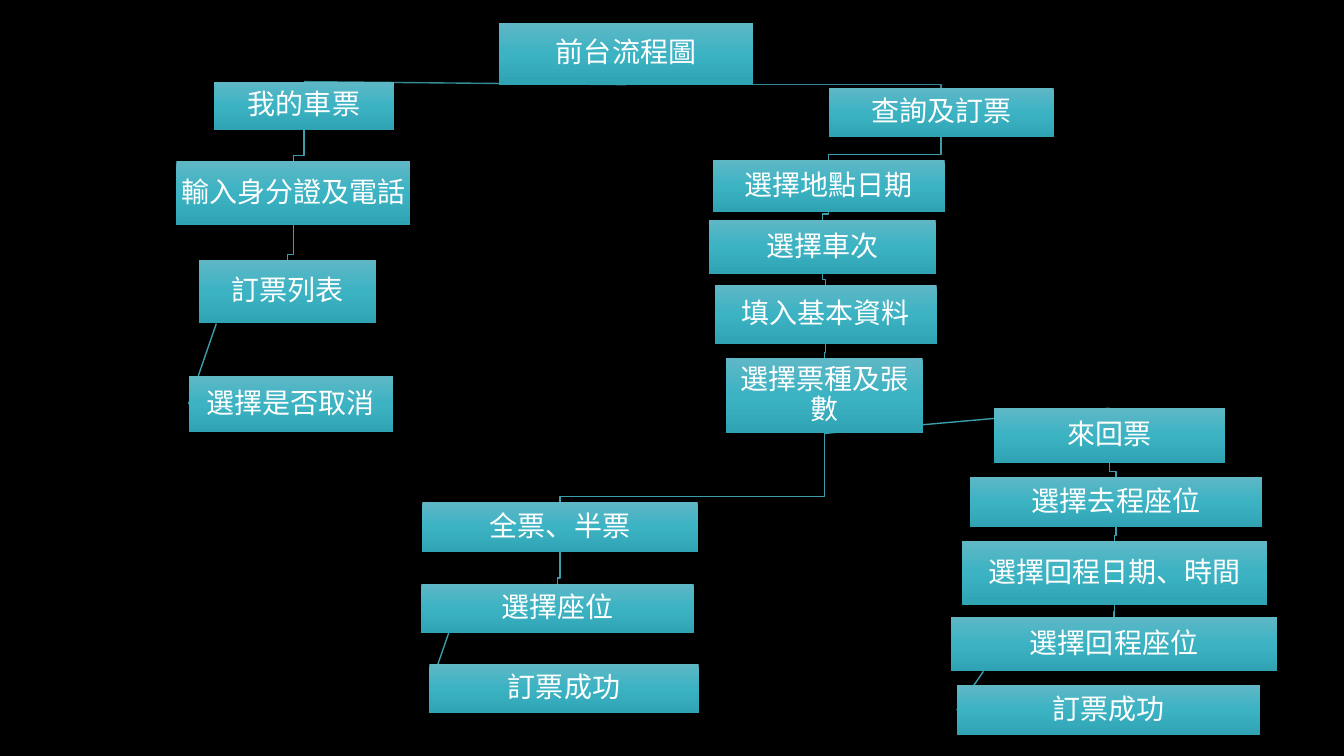
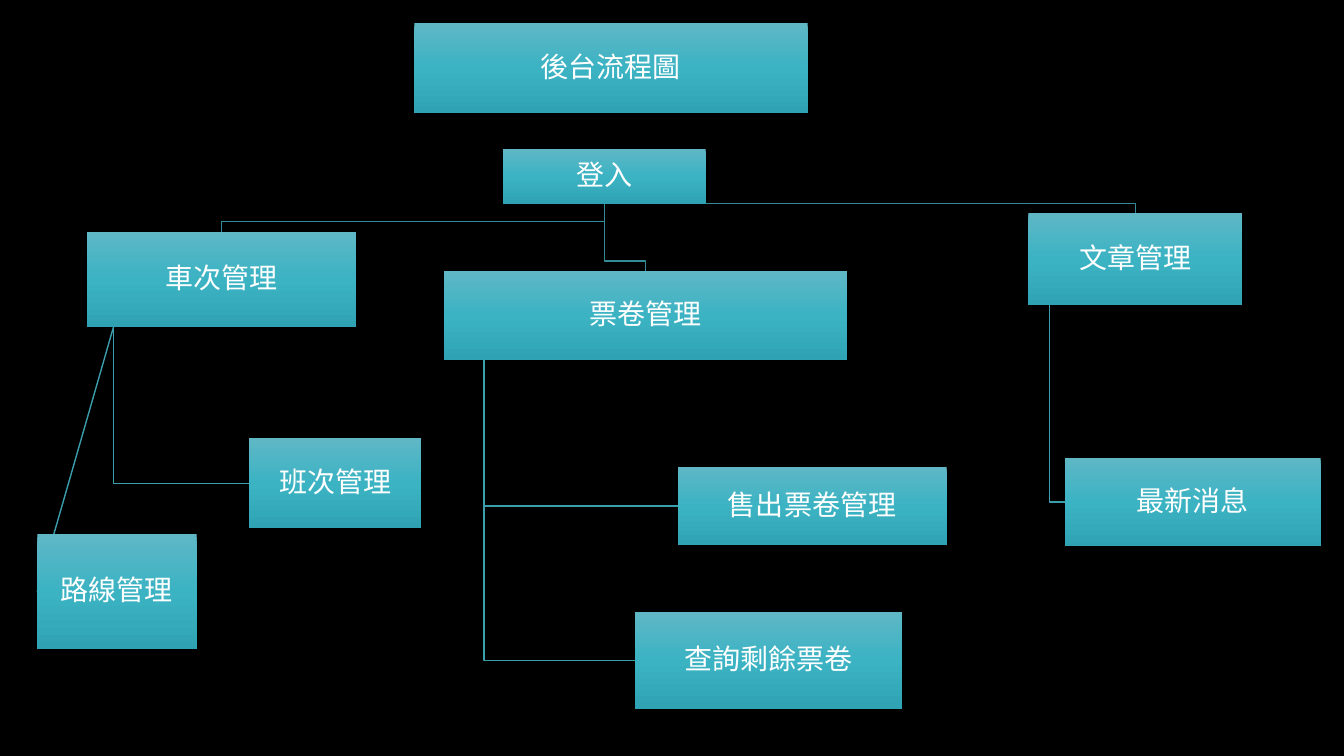
import copy
from dataclasses import dataclass
from enum import Enum

import pptx
import pptx.dml.color
import pptx.enum.shapes
import pptx.enum.text
import pptx.oxml
import pptx.oxml.ns
import pptx.util


@dataclass(frozen=True)
class Theme:
    back: str = "000000"
    text: str = "FFFFFF"
    box: tuple[str, ...] = ("5FB7C5", "3BB3C3", "2FA3B3")
    main_line: str = "348B97"
    sub_line: str = "3B9EAC"
    font: str = "Noto Sans CJK SC"
    size: float = 20
    line: float = 1
    spacing: float = 0.9
    inset: float = 0.01


class Link(Enum):
    DROP = "elbow to the top"
    RISE = "straight to the top"
    HANG = "elbow to the left side"
    SLANT = "straight to the left side"


@dataclass(frozen=True)
class Box:
    text: str
    col: float
    row: float
    cols: float
    rows: float
    parent: str = ""
    link: Link = Link.DROP

    @property
    def bottom(self) -> float:
        return self.row + self.rows

    @property
    def center(self) -> float:
        return self.col + self.cols / 2

    @property
    def middle(self) -> float:
        return self.row + self.rows / 2


@dataclass(frozen=True)
class Chart:
    trunk: str
    jog: float
    boxes: tuple[Box, ...]


THEME = Theme()
CELL = 0.1
HANG_SHARE = 0.1

FRONT = Chart("前台流程圖", 0.55, (
    Box("前台流程圖", 49.5, 2.3, 25.2, 6.1),
    Box("我的車票", 21.2, 8.1, 17.9, 4.8, "前台流程圖", Link.RISE),
    Box("輸入身分證及電話", 17.5, 16, 23.2, 6.3, "我的車票"),
    Box("訂票列表", 19.7, 25.8, 17.6, 6.3, "輸入身分證及電話"),
    Box("選擇是否取消", 18.7, 37.3, 20.3, 5.6, "訂票列表", Link.SLANT),
    Box("查詢及訂票", 82.2, 8.7, 22.3, 4.9, "前台流程圖"),
    Box("選擇地點日期", 70.7, 15.9, 23, 5.1, "查詢及訂票"),
    Box("選擇車次", 70.3, 21.8, 22.5, 5.4, "選擇地點日期"),
    Box("填入基本資料", 70.9, 28.3, 22, 5.8, "選擇車次"),
    Box("選擇票種及張數", 72, 35.5, 19.5, 7.5, "填入基本資料"),
    Box("全票、半票", 41.9, 49.8, 27.3, 5, "選擇票種及張數"),
    Box("選擇座位", 41.8, 57.9, 27, 4.9, "全票、半票"),
    Box("訂票成功", 42.6, 65.9, 26.7, 4.8, "選擇座位", Link.SLANT),
    Box("來回票", 98.6, 40.5, 22.9, 5.4, "選擇票種及張數", Link.RISE),
    Box("選擇去程座位", 96.2, 47.3, 29, 5, "來回票"),
    Box("選擇回程日期、時間", 95.4, 53.7, 30.3, 6.3, "選擇去程座位"),
    Box("選擇回程座位", 94.3, 61.2, 32.4, 5.4, "選擇回程日期、時間"),
    Box("訂票成功", 94.9, 68, 30.1, 4.9, "選擇回程座位", Link.SLANT),
))

BACK = Chart("登入", 1, (
    Box("後台流程圖", 41.1, 2.3, 39, 8.9),
    Box("登入", 49.9, 14.8, 20.1, 5.4),
    Box("車次管理", 8.6, 23, 26.7, 9.4, "登入"),
    Box("路線管理", 3.7, 53, 15.8, 11.4, "車次管理", Link.SLANT),
    Box("班次管理", 24.7, 43.5, 17.1, 8.9, "車次管理", Link.HANG),
    Box("票卷管理", 44, 26.9, 40, 8.8, "登入"),
    Box("售出票卷管理", 67.2, 46.3, 26.7, 7.8, "票卷管理", Link.HANG),
    Box("查詢剩餘票卷", 63, 60.7, 26.5, 9.6, "票卷管理", Link.HANG),
    Box("文章管理", 102, 21.1, 21.2, 9.2, "登入"),
    Box("最新消息", 105.6, 45.4, 25.4, 8.8, "文章管理", Link.HANG),
))


def grid(n: float) -> int:
    return pptx.util.Inches(n * CELL)


def rgb(code: str) -> pptx.dml.color.RGBColor:
    return pptx.dml.color.RGBColor.from_string(code)


def write(tf, text: str, *, size: float = THEME.size, color: str = THEME.text,
          font: str = THEME.font, spacing: float = THEME.spacing) -> None:
    tf.auto_size = pptx.enum.text.MSO_AUTO_SIZE.NONE
    tf.word_wrap = True
    tf.vertical_anchor = pptx.enum.text.MSO_ANCHOR.MIDDLE
    inset = pptx.util.Inches(THEME.inset)
    tf.margin_left = tf.margin_right = tf.margin_top = tf.margin_bottom = inset
    p = tf.paragraphs[0]
    p.alignment = pptx.enum.text.PP_ALIGN.CENTER
    p.line_spacing = spacing
    r = p.add_run()
    r.text = text
    r.font.size = pptx.util.Pt(size)
    r.font.color.rgb = rgb(color)
    r.font.name = font
    ea = pptx.oxml.parse_xml(f'<a:ea {pptx.oxml.ns.nsdecls("a")} typeface="{font}"/>')
    r.font._element.append(ea)


def fill_gradient(sp) -> None:
    sp.fill.gradient()
    sp.fill.gradient_angle = 270
    stops = sp.element.spPr.find(".//" + pptx.oxml.ns.qn("a:gsLst"))
    stops.insert(1, copy.deepcopy(stops[0]))
    for i, (stop, code) in enumerate(zip(sp.fill.gradient_stops, THEME.box)):
        stop.position = i / (len(THEME.box) - 1)
        stop.color.rgb = rgb(code)


def draw_box(s, box: Box, is_title: bool) -> None:
    frame = [grid(n) for n in (box.col, box.row, box.cols, box.rows)]
    if is_title:
        sp = s.shapes.title
        sp.left, sp.top, sp.width, sp.height = frame
        sp.element.getparent().append(sp.element)
    else:
        sp = s.shapes.add_shape(pptx.enum.shapes.MSO_SHAPE.RECTANGLE, *frame)
        sp.shadow.inherit = False
    fill_gradient(sp)
    sp.line.fill.background()
    write(sp.text_frame, box.text)


def route(parent: Box, child: Box, jog: float) -> list[tuple[float, float]]:
    hang = parent.col + parent.cols * HANG_SHARE
    turn = max(parent.bottom, child.row - jog)
    start, top = (parent.center, parent.bottom), (child.center, child.row)
    side = (child.col, child.middle)
    return {
        Link.DROP: [start, (parent.center, turn), (child.center, turn), top],
        Link.RISE: [start, top],
        Link.HANG: [(hang, parent.bottom), (hang, child.middle), side],
        Link.SLANT: [(hang, parent.bottom), side],
    }[child.link]


def draw_link(s, points: list[tuple[float, float]], color: str) -> None:
    pts = [(grid(x), grid(y)) for x, y in points]
    if len(pts) == 2:
        straight = pptx.enum.shapes.MSO_CONNECTOR.STRAIGHT
        sp = s.shapes.add_connector(straight, *pts[0], *pts[1])
        effects = pptx.oxml.parse_xml(f'<a:effectLst {pptx.oxml.ns.nsdecls("a")}/>')
    else:
        builder = s.shapes.build_freeform(*pts[0])
        builder.add_line_segments(pts[1:], close=False)
        sp = builder.convert_to_shape()
        sp.fill.background()
        effects = None
    sp.line.color.rgb = rgb(color)
    sp.line.width = pptx.util.Pt(THEME.line)
    if effects is None:
        sp.shadow.inherit = False
    else:
        sp.element.spPr.append(effects)


def draw_chart(prs, chart: Chart) -> None:
    s = prs.slides.add_slide(prs.slide_layouts[5])
    s.background.fill.solid()
    s.background.fill.fore_color.rgb = rgb(THEME.back)
    by_text = {box.text: box for box in chart.boxes}
    for box in chart.boxes:
        if box.parent:
            color = THEME.main_line if box.parent == chart.trunk else THEME.sub_line
            draw_link(s, route(by_text[box.parent], box, chart.jog), color)
    for i, box in enumerate(chart.boxes):
        draw_box(s, box, is_title=i == 0)


def main() -> None:
    prs = pptx.Presentation()
    prs.slide_width = pptx.util.Inches(13.33)
    prs.slide_height = pptx.util.Inches(7.5)
    for chart in (FRONT, BACK):
        draw_chart(prs, chart)
    prs.save("out.pptx")


if __name__ == "__main__":
    main()
